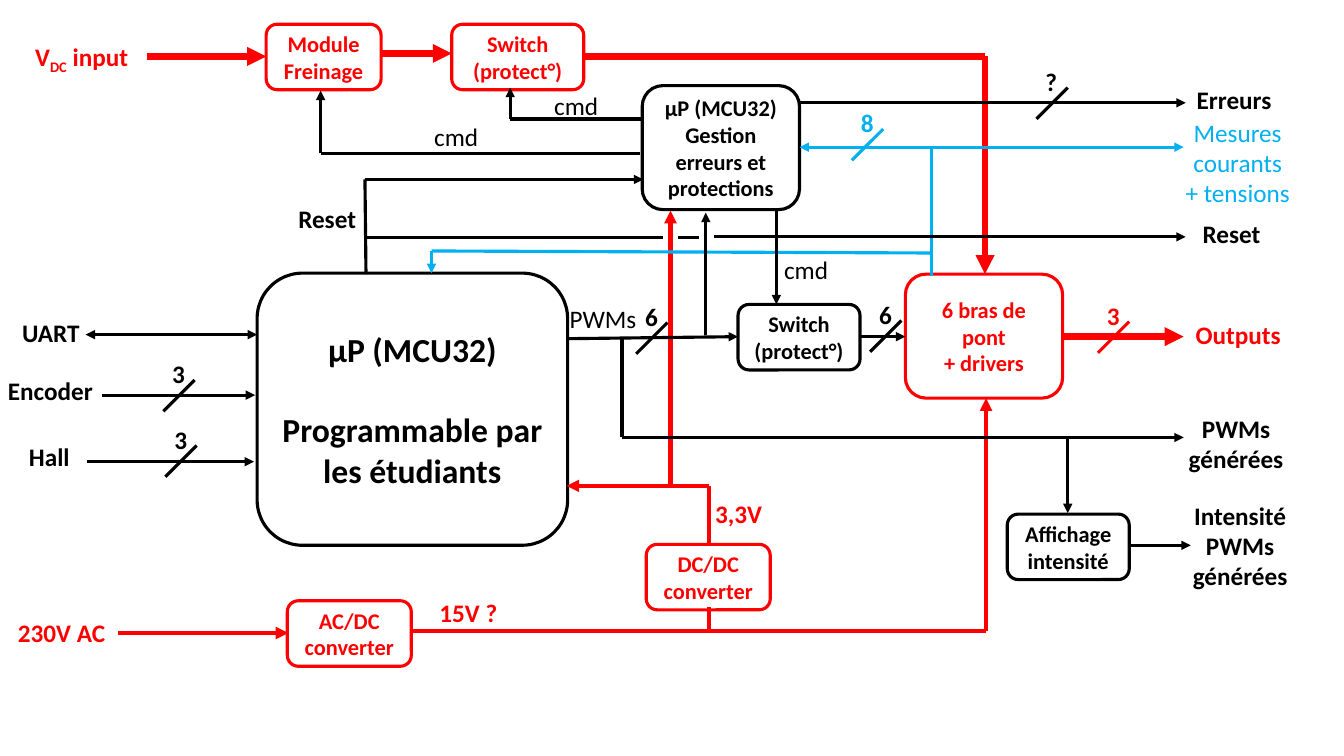
from itertools import pairwise

from lxml import etree
from pptx import Presentation
from pptx.dml.color import RGBColor
from pptx.enum.shapes import MSO_CONNECTOR, MSO_SHAPE
from pptx.enum.text import MSO_ANCHOR, PP_ALIGN
from pptx.oxml.ns import qn
from pptx.util import Inches, Pt

LINE = MSO_CONNECTOR.STRAIGHT
ROUND = MSO_SHAPE.ROUNDED_RECTANGLE
MIDDLE = MSO_ANCHOR.MIDDLE
LEFT, CENTER = PP_ALIGN.LEFT, PP_ALIGN.CENTER

FONT = "Calibri"
HEX = {"black": "000000", "red": "FF0000", "blue": "00B0F0"}
RGB = {name: RGBColor.from_string(code) for name, code in HEX.items()}
THIN, MID, THICK = 2.25, 3, 4.5
CHIP = "µP (MCU32)"
SWITCH = "Switch\n(protect°)"

# left, top, width, height, text, colour, format
BOXES = [
    (2.64, 0.24, 1.14, 0.65, "Module Freinage", "red", {}),
    (4.48, 0.24, 1.31, 0.65, SWITCH, "red", {}),
    (6.37, 0.85, 1.56, 1.23, CHIP + "\nGestion erreurs et protections",
     "black", {}),
    (2.55, 2.71, 3.08, 2.7, CHIP + "\nProgrammable par les étudiants",
     "black", {"size": 24, "gap": 29}),
    (7.32, 3.02, 1.21, 0.65, SWITCH, "black", {}),
    (8.98, 2.72, 1.56, 1.23, "6 bras de pont\n+ drivers", "red", {}),
    (6.41, 5.4, 1.23, 0.65, "DC/DC converter", "red", {}),
    (2.85, 5.96, 1.23, 0.65, "AC/DC converter", "red", {}),
    (9.99, 5.1, 1.21, 0.65, "Affichage intensité", "black", {}),
]

# points, colour, width, ends with an arrowhead
WIRES = [
    # power
    ([(1.46, 0.56), (2.64, 0.56)], "red", THICK, "end"),
    ([(3.78, 0.53), (4.48, 0.53)], "red", THICK, "end"),
    ([(5.79, 0.56), (9.77, 0.56), (9.77, 2.72)], "red", THICK, "end"),
    ([(10.55, 3.34), (11.74, 3.34)], "red", THICK, "end"),
    ([(1.17, 6.28), (2.86, 6.28)], "red", MID, "end"),
    ([(4.08, 6.26), (9.78, 6.26), (9.78, 3.95)], "red", MID, "end"),
    ([(7.03, 6.28), (7.03, 6.02)], "red", MID, ""),
    ([(7.03, 5.41), (7.03, 4.82), (5.62, 4.82)], "red", MID, "end"),
    ([(6.65, 4.81), (6.65, 2.09)], "red", MID, "end"),
    # measurements
    ([(9.24, 2.74), (9.24, 1.46), (7.93, 1.46)], "blue", THIN, "end"),
    ([(9.22, 1.46), (11.74, 1.46)], "blue", THIN, "end"),
    ([(9.24, 2.51), (4.28, 2.49), (4.28, 2.71)], "blue", THIN, "end"),
    # commands
    ([(6.37, 1.18), (5.06, 1.18), (5.06, 0.87)], "black", THIN, "end"),
    ([(6.35, 1.52), (3.18, 1.52), (3.18, 0.9)], "black", THIN, "end"),
    ([(7.7, 2.09), (7.7, 3.02)], "black", THIN, "end"),
    # errors and reset
    ([(7.93, 1.02), (11.76, 1.02)], "black", THIN, "end"),
    ([(3.63, 2.72), (3.62, 1.78), (6.38, 1.78)], "black", THIN, "end"),
    ([(3.62, 2.36), (6.58, 2.36)], "black", THIN, ""),
    ([(6.72, 2.36), (6.93, 2.36)], "black", THIN, ""),
    ([(7.08, 2.35), (11.76, 2.35)], "black", THIN, "end"),
    # inputs
    ([(0.85, 3.32), (2.55, 3.32)], "black", THIN, "both"),
    ([(1.01, 3.92), (2.53, 3.92)], "black", THIN, "end"),
    ([(0.86, 4.58), (2.52, 4.58)], "black", THIN, "end"),
    # PWM signals
    ([(5.64, 3.36), (7.32, 3.34)], "black", THIN, "end"),
    ([(8.53, 3.34), (8.98, 3.34)], "black", THIN, "end"),
    ([(7, 3.32), (7, 2.11)], "black", THIN, "end"),
    ([(6.17, 3.36), (6.17, 4.34), (11.74, 4.34)], "black", THIN, "end"),
    ([(10.59, 4.35), (10.59, 5.09)], "black", THIN, "end"),
    ([(11.2, 5.41), (11.81, 5.41)], "black", THIN, "end"),
]

# left and top of the slash, count, colour
COUNTS = [
    (6.31, 3.2, "6", "black"),
    (8.63, 3.18, "6", "black"),
    (10.89, 3.19, "3", "red"),
    (8.45, 1.28, "8", "blue"),
    (1.62, 3.77, "3", "black"),
    (1.64, 4.42, "3", "black"),
    (10.28, 0.87, "?", "black"),
]

# left, top, width, height, text, colour, format
LABELS = [
    (0.25, 0.36, 1.21, 0.4, "V_DC_ input", "red", {"align": LEFT}),
    (0.08, 6.08, 1.21, 0.4, "230V AC", "red", {"align": LEFT}),
    (11.76, 3.12, 1.21, 0.4, "Outputs", "red", {"align": LEFT}),
    (4.04, 5.88, 1.21, 0.4, "15V ?", "red", {}),
    (6.72, 4.89, 1.21, 0.4, "3,3V", "red", {}),
    (0.08, 3.1, 0.85, 0.4, "UART", "black", {}),
    (-0.03, 3.67, 1.06, 0.4, "Encoder", "black", {}),
    (-0.04, 4.33, 1.06, 0.4, "Hall", "black", {}),
    (2.82, 1.97, 0.85, 0.4, "Reset", "black", {}),
    (11.79, 2.12, 0.85, 0.4, "Reset", "black", {}),
    (11.64, 0.79, 1.2, 0.4, "Erreurs", "black", {}),
    (11.66, 4.05, 1.2, 0.71, "PWMs générées", "black", {}),
    (11.7, 4.91, 1.2, 1.01, "Intensité PWMs générées", "black", {}),
    (11.65, 1.11, 1.25, 1.01, "Mesures courants + tensions", "blue",
     {"bold": False}),
    (5.55, 2.96, 0.91, 0.4, "PWMs", "black", {"bold": False, "align": LEFT}),
    (5.26, 0.85, 0.91, 0.4, "cmd", "black", {"bold": False}),
    (4.07, 1.15, 0.91, 0.4, "cmd", "black", {"bold": False}),
    (7.54, 2.47, 0.91, 0.4, "cmd", "black", {"bold": False}),
]


def write(frame, text, size=18, color="black", bold=True, align=CENTER, gap=0):
    """Fill a frame: one paragraph a line, subscripts between underscores."""
    frame.word_wrap = True
    for row, line in enumerate(text.split("\n")):
        para = frame.add_paragraph() if row else frame.paragraphs[0]
        para.alignment = align
        para.space_before = Pt(gap if row else 0)
        for part, words in enumerate(line.split("_")):
            run = para.add_run()
            run.text = words
            font = run.font
            font.name, font.size, font.bold = FONT, Pt(size), bold
            font.color.rgb = RGB[color]
            if part % 2:
                run._r.get_or_add_rPr().set("baseline", "-25000")


def box(slide, left, top, width, height, text, color, style):
    """Draw a rounded block with centred text."""
    shape = slide.shapes.add_shape(
        ROUND, Inches(left), Inches(top), Inches(width), Inches(height))
    shape.shadow.inherit = False
    shape.fill.background()
    shape.line.color.rgb = RGB[color]
    shape.line.width = Pt(THIN)
    shape.text_frame.vertical_anchor = MIDDLE
    write(shape.text_frame, text, color=color, **{"size": 16, **style})


def label(slide, left, top, width, height, text, color, style):
    """Place free text."""
    area = slide.shapes.add_textbox(
        Inches(left), Inches(top), Inches(width), Inches(height))
    write(area.text_frame, text, color=color, **style)


def wire(slide, points, color, width=THIN, heads=""):
    """Join points by straight lines, with arrowheads at the end or both."""
    last = len(points) - 2
    for pos, (start, end) in enumerate(pairwise(points)):
        link = slide.shapes.add_connector(
            LINE, *(Inches(value) for value in start + end))
        link.line.color.rgb = RGB[color]
        link.line.width = Pt(width)
        etree.SubElement(link._element.spPr, qn("a:effectLst"))
        stroke = link.line._get_or_add_ln()
        if heads == "both" and pos == 0:
            etree.SubElement(stroke, qn("a:headEnd"), type="triangle")
        if heads and pos == last:
            etree.SubElement(stroke, qn("a:tailEnd"), type="triangle")


def count(slide, left, top, text, color):
    """Mark a bus with a slash and its number of lines."""
    wire(slide, [(left + 0.31, top), (left, top + 0.31)], color)
    label(slide, left - 0.01, top - 0.26, 0.31, 0.4, text, color, {})


def main():
    """Build the block diagram and save it."""
    deck = Presentation()
    deck.slide_width, deck.slide_height = Inches(13.33), Inches(7.5)
    slide = deck.slides.add_slide(deck.slide_layouts[6])
    for draw, rows in ((box, BOXES), (wire, WIRES),
                       (count, COUNTS), (label, LABELS)):
        for row in rows:
            draw(slide, *row)
    deck.save("out.pptx")


main()
